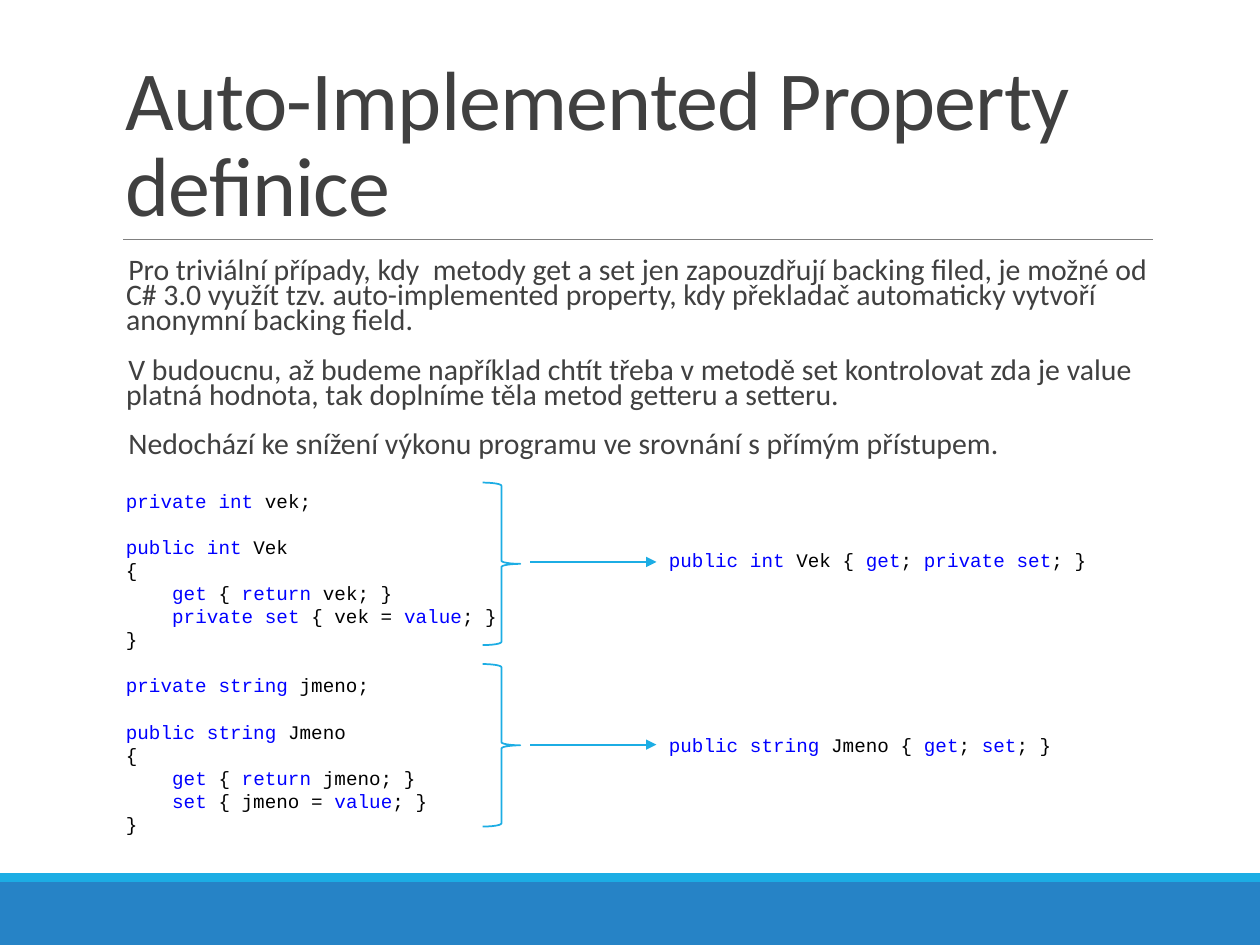
from lxml import etree
from pptx import Presentation
from pptx import util as u
from pptx.dml.color import RGBColor
from pptx.enum import shapes, text
from pptx.oxml import ns

COLORS = {
    "band": "2683C6",
    "accent": "1CADE4",
    "rule": "808080",
    "body": "404040",
    "keyword": "0000FF",
    "code": "000000",
}
LINE = 13.2  # height of one code line in points
LEFT = 0.9
BRACE_TOPS = (3.83, 5.27)
ARROW_YS = (4.46, 5.91)

TITLE = "Auto-Implemented Property\vdefinice"
BODY = (
    "Pro triviální případy, kdy  metody get a set jen zapouzdřují backing filed, "
    "je možné od C# 3.0 využít tzv. auto-implemented property, kdy překladač "
    "automaticky vytvoří anonymní backing field.",
    "V budoucnu, až budeme například chtít třeba v metodě set kontrolovat zda je "
    "value platná hodnota, tak doplníme těla metod getteru a setteru.",
    "Nedochází ke snížení výkonu programu ve srovnání s přímým přístupem.",
)
# type, field, property, setter (asterisks enclose keywords)
PROPERTIES = (
    ("int", "vek", "Vek", "*private* *set*"),
    ("string", "jmeno", "Jmeno", "*set*"),
)


def rgb(name):
    return RGBColor.from_string(COLORS[name])


def set_values(target, values):
    for name, value in values.items():
        setattr(target, name, value)


def style_font(font, face, size, color):
    set_values(font, {"name": face, "size": u.Pt(size)})
    font.color.rgb = rgb(color)


def add_text_box(page, left, top, width, height, **frame_format):
    box = page.shapes.add_textbox(*map(u.Inches, (left, top, width, height)))
    set_values(box.text_frame, {"word_wrap": True, **frame_format})
    return box.text_frame


def add_paragraph(frame, first):
    return frame.paragraphs[0] if first else frame.add_paragraph()


def add_title(page):
    frame = add_text_box(page, LEFT, 0.31, 8.25, 1.59,
                         vertical_anchor=text.MSO_ANCHOR.BOTTOM)
    para = frame.paragraphs[0]
    para.text = TITLE
    para.line_spacing = 0.85
    for span in para.runs:
        style_font(span.font, "Calibri", 48, "body")
        span.font._element.set("spc", "-50")


def add_body(page):
    frame = add_text_box(page, LEFT, 2.02, 8.25, 1.81, margin_left=0, margin_right=0)
    for index, words in enumerate(BODY):
        para = add_paragraph(frame, index == 0)
        set_values(para, {"line_spacing": 0.7, "space_after": u.Pt(2),
                          "space_before": u.Pt(12 if index else 0)})
        # Hanging indent with a blank bullet
        props = para._p.get_or_add_pPr()
        props.set("marL", str(u.Inches(0.1)))
        props.set("indent", str(-u.Inches(0.1)))
        etree.SubElement(props, ns.qn("a:buChar")).set("char", " ")
        span = para.add_run()
        span.text = words
        style_font(span.font, "Calibri", 17, "body")


def full_code(kind, field, name, setter):
    """Lines of a property with its field, each with the empty lines above it."""
    return [
        (1, f"*private* *{kind}* {field};"),
        (1, f"*public* *{kind}* {name}"),
        (0, "{"),
        (0, f"    *get* {{ *return* {field}; }}"),
        (0, f"    {setter} {{ {field} = *value*; }}"),
        (0, "}"),
    ]


def short_code(kind, field, name, setter):
    return [(7, f"*public* *{kind}* {name} {{ *get*; {setter}; }}")]


def add_code(page, left, top, height, write):
    frame = add_text_box(page, left, top, 4.05, height)
    lines = [line for item in PROPERTIES for line in write(*item)]
    for index, (gap, markup) in enumerate(lines):
        para = add_paragraph(frame, index == 0)
        set_values(para, {"line_spacing": u.Pt(LINE),
                          "space_before": u.Pt(gap * LINE if index else 0)})
        for position, part in enumerate(markup.split("*")):
            if part:
                span = para.add_run()
                span.text = part
                style_font(span.font, "Courier New", 11,
                           "keyword" if position % 2 else "code")


def add_band(page, top, height, color):
    band = page.shapes.add_shape(shapes.MSO_SHAPE.RECTANGLE, 0, u.Inches(top),
                                 u.Inches(10), u.Inches(height))
    band.shadow.inherit = False
    band.fill.solid()
    band.fill.fore_color.rgb = rgb(color)
    band.line.fill.background()


def add_brace(page, top):
    brace = page.shapes.add_shape(shapes.MSO_SHAPE.RIGHT_BRACE, u.Inches(3.83),
                                  u.Inches(top), u.Inches(0.3), u.Inches(1.29))
    brace.shadow.inherit = False
    brace.fill.background()
    brace.line.color.rgb = rgb("accent")
    brace.line.width = u.Pt(1)


def add_line(page, start, end, y, color, width, arrow=False):
    line = page.shapes.add_connector(shapes.MSO_CONNECTOR.STRAIGHT, u.Inches(start),
                                     u.Inches(y), u.Inches(end), u.Inches(y))
    line.line.color.rgb = rgb(color)
    line.line.width = u.Pt(width)
    if arrow:
        outline = line.line._get_or_add_ln()
        etree.SubElement(outline, ns.qn("a:tailEnd")).set("type", "triangle")
    etree.SubElement(line._element.spPr, ns.qn("a:effectLst"))


def main():
    deck = Presentation()
    set_values(deck, {"slide_width": u.Inches(10), "slide_height": u.Inches(7.5)})
    page = deck.slides.add_slide(deck.slide_layouts[6])

    # Footer bands and title rule
    add_band(page, 7, 0.5, "band")
    add_band(page, 6.93, 0.07, "accent")
    add_line(page, 0.98, 9.15, 1.9, "rule", 0.5)

    # Text and code
    add_title(page)
    add_body(page)
    add_code(page, 5.21, 4.3, 1.77, short_code)
    add_code(page, LEFT, 3.83, 2.88, full_code)

    # Braces and arrows from the full code to the short code
    for top in BRACE_TOPS:
        add_brace(page, top)
    for y in ARROW_YS:
        add_line(page, 4.21, 5.21, y, "accent", 1, arrow=True)

    deck.save("out.pptx")


if __name__ == "__main__":
    main()
